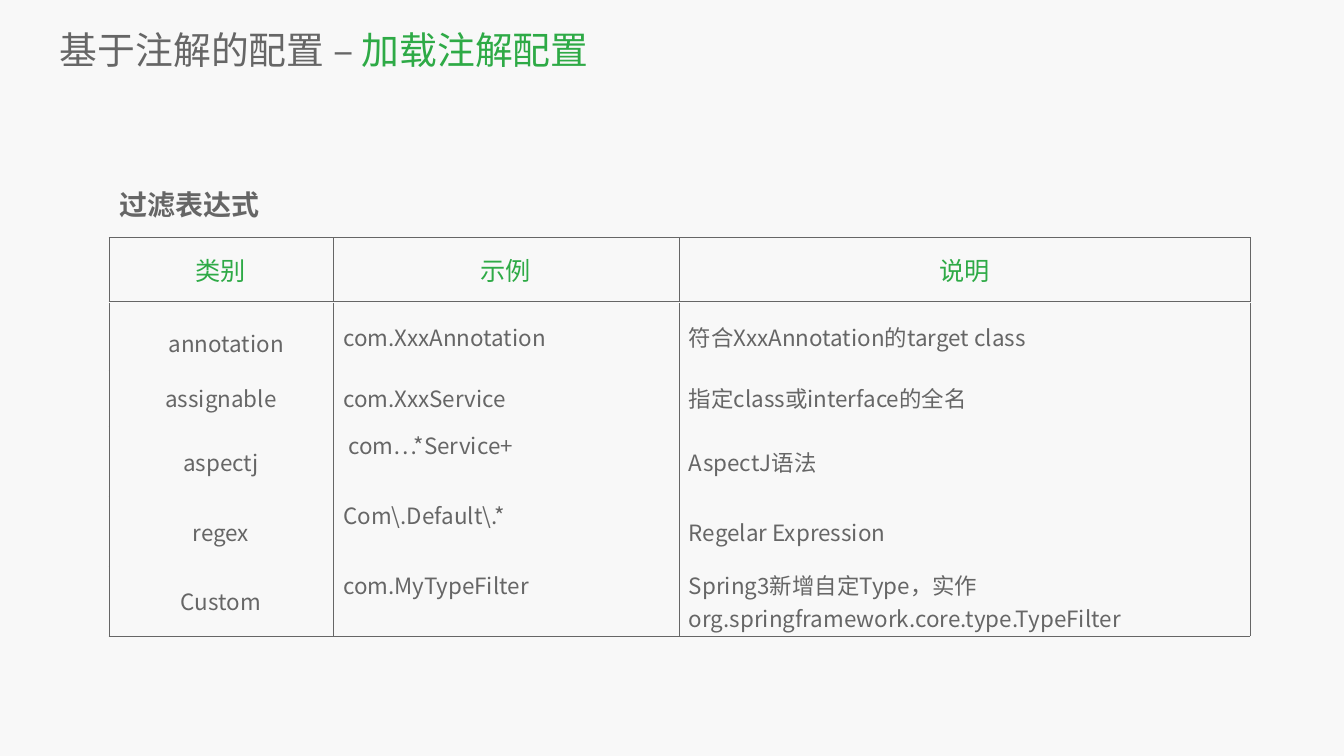
from dataclasses import dataclass

from lxml import etree
from pptx import Presentation
from pptx.dml.color import RGBColor
from pptx.enum.text import MSO_ANCHOR, MSO_AUTO_SIZE, PP_ALIGN
from pptx.oxml.ns import qn
from pptx.util import Pt

TOP, MIDDLE = MSO_ANCHOR.TOP, MSO_ANCHOR.MIDDLE
LEFT, CENTER = PP_ALIGN.LEFT, PP_ALIGN.CENTER
FIT_SHAPE = MSO_AUTO_SIZE.SHAPE_TO_FIT_TEXT
FONT = "Noto Sans CJK SC"
COLORS = {"bg": "F8F8F8", "text": "666666", "accent": "2EAA46"}
TABLE_LEFT = 155.5
COL_WIDTHS = (320.4, 493.9, 815.8)
HEADER_TOP, BODY_TOP = 339.1, 432.7
INDENT = 15


@dataclass
class Row:
    height: float
    texts: tuple[str, str, str]
    example_anchor: MSO_ANCHOR = MIDDLE
    spaced: bool = False


HEADER = Row(91.5, ("类别", "示例", "说明"))
FILTERS = (
    Row(95.8, ("annotation", "com.XxxAnnotation", "符合XxxAnnotation的target class"), spaced=True),
    Row(80.6, ("assignable", "com.XxxService", "指定class或interface的全名")),
    Row(99.9, ("aspectj", " com…*Service+", "AspectJ语法"), TOP),
    Row(99.9, ("regex", "Com\\.Default\\.*", "Regelar Expression"), TOP),
    Row(99.9, ("Custom", "com.MyTypeFilter",
               "Spring3新增自定Type，实作org.springframework.core.type.TypeFilter"), TOP),
)


def rgb(name: str) -> RGBColor:
    """Return a named colour."""
    return RGBColor.from_string(COLORS[name])


def add_run(p, text: str, size: float, color: str, bold: bool = False) -> None:
    """Add one formatted run to a paragraph."""
    r = p.add_run()
    r.text = text
    r.font.size, r.font.name, r.font.bold = Pt(size), FONT, bold
    r.font.color.rgb = rgb(color)
    ea = etree.SubElement(r.font._element, qn("a:ea"))
    ea.set("typeface", FONT)


def indent(p) -> None:
    """Give a paragraph its left indent and loose line spacing."""
    p.line_spacing = 1.4
    pPr = p._p.get_or_add_pPr()
    pPr.set("marL", str(Pt(INDENT)))
    pPr.set("indent", "0")


def add_text(slide, box: tuple, inset: float, anchor: MSO_ANCHOR):
    """Add a wrapping text box and return its text frame."""
    tf = slide.shapes.add_textbox(*map(Pt, box)).text_frame
    tf.word_wrap, tf.vertical_anchor = True, anchor
    tf.margin_left = tf.margin_right = tf.margin_top = tf.margin_bottom = Pt(inset)
    return tf


def set_borders(cell, visible: str) -> None:
    """Draw the given sides of a cell and clear the others."""
    tcPr = cell._tc.get_or_add_tcPr()
    for i, side in enumerate("LRTB"):
        ln = etree.Element(qn(f"a:ln{side}"), w=str(Pt(1)))
        if side in visible:
            fill = etree.SubElement(ln, qn("a:solidFill"))
            etree.SubElement(fill, qn("a:srgbClr"), val=COLORS["text"])
        else:
            etree.SubElement(ln, qn("a:noFill"))
        tcPr.insert(i, ln)


def add_row(slide, row: Row, top: float, header: bool = False) -> None:
    """Add a one-row table."""
    table = slide.shapes.add_table(
        1, len(COL_WIDTHS), Pt(TABLE_LEFT), Pt(top), Pt(sum(COL_WIDTHS)), Pt(row.height)).table
    table.first_row = table.horz_banding = False
    table.rows[0].height = Pt(row.height)
    for i, (width, text) in enumerate(zip(COL_WIDTHS, row.texts)):
        table.columns[i].width = Pt(width)
        cell = table.cell(0, i)
        cell.fill.solid()
        cell.fill.fore_color.rgb = rgb("bg")
        cell.vertical_anchor = row.example_anchor if i == 1 else MIDDLE
        p = cell.text_frame.paragraphs[0]
        p.alignment = CENTER if header or i == 0 else LEFT
        if not header and i:
            cell.margin_left = Pt(14.4)
        if row.spaced and i == 0:
            indent(p)
            p.space_before = Pt(24)
        add_run(p, text, 36 if header else 32, "accent" if header else "text")
        set_borders(cell, "LRTB" if header else "LRB")


def main() -> None:
    """Build and save the slide."""
    prs = Presentation()
    prs.slide_width, prs.slide_height = Pt(1920), Pt(1080)
    s = prs.slides.add_slide(prs.slide_layouts[6])
    s.background.fill.solid()
    s.background.fill.fore_color.rgb = rgb("bg")

    tf = add_text(s, (81.4, 33.8, 1811.5, 73.4), 4.3, MIDDLE)
    tf.auto_size = FIT_SHAPE
    p = tf.paragraphs[0]
    add_run(p, "基于注解的配置 – ", 54, "text")
    add_run(p, "加载注解配置", 54, "accent")

    p = add_text(s, (155.5, 249.1, 416.2, 58.3), 0, TOP).paragraphs[0]
    indent(p)
    add_run(p, "过滤表达式", 40, "text", bold=True)

    add_row(s, HEADER, HEADER_TOP, header=True)
    top = BODY_TOP
    for row in FILTERS:
        add_row(s, row, top)
        top += row.height
    prs.save("out.pptx")


if __name__ == "__main__":
    main()
